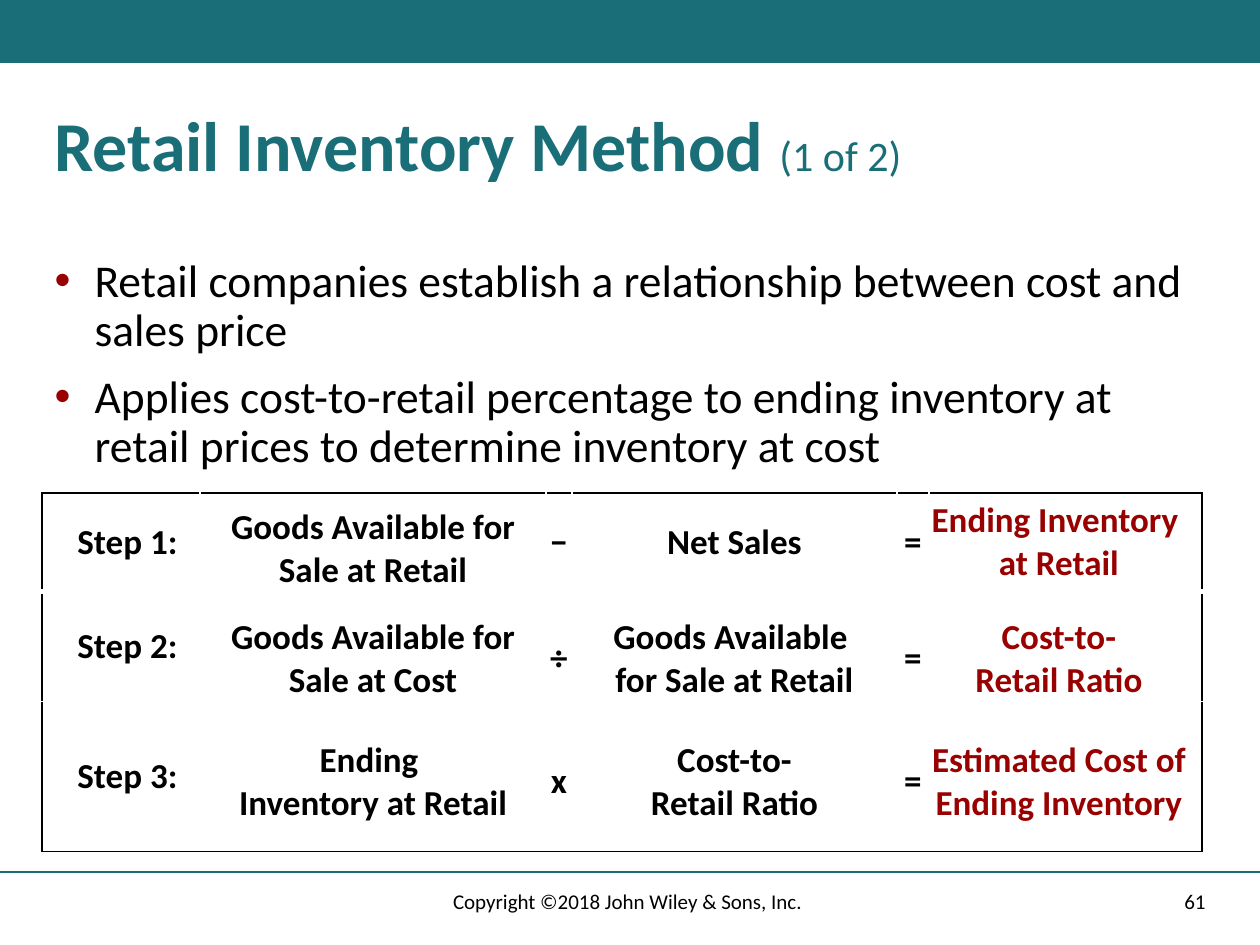
"""Build the Retail Inventory Method slide."""
from lxml import etree
from pptx import Presentation
from pptx.dml.color import RGBColor
from pptx.enum.shapes import MSO_CONNECTOR, MSO_SHAPE
from pptx.enum.text import MSO_ANCHOR, MSO_AUTO_SIZE, PP_ALIGN
from pptx.oxml.ns import qn
from pptx.util import Pt

LEFT, CENTER, RIGHT = PP_ALIGN.LEFT, PP_ALIGN.CENTER, PP_ALIGN.RIGHT
TOP, MIDDLE = MSO_ANCHOR.TOP, MSO_ANCHOR.MIDDLE
NO_FIT = MSO_AUTO_SIZE.NONE
RECT, STRAIGHT = MSO_SHAPE.RECTANGLE, MSO_CONNECTOR.STRAIGHT

TEAL, RED, BLACK, WHITE = "196E78", "990000", "000000", "FFFFFF"
FONT = "Calibri"
PX = 914400 // 126

TITLE = [("Retail Inventory Method ", 40, True), ("(1 of 2)", 24, False)]
BULLETS = [
    "Retail companies establish a relationship between cost and sales price",
    "Applies cost-to-retail percentage to ending inventory at retail prices to determine inventory at cost",
]
STEPS = [
    ["Step 1:", "Goods Available for Sale at Retail", "−", "Net Sales", "=",
     "Ending Inventory \nat Retail"],
    ["Step 2:", "Goods Available for Sale at Cost", "÷",
     "Goods Available \nfor Sale at Retail", "=", "Cost-to-\nRetail Ratio"],
    ["Step 3:", "Ending \nInventory at Retail", "x", "Cost-to-\nRetail Ratio", "=",
     "Estimated Cost of \nEnding Inventory"],
]
COL_WIDTHS = [158, 346, 26, 325, 32, 273]
ROW_HEIGHTS = [96, 107, 150]
FOOTERS = [("61", (890, 876, 328, 50), RIGHT),
           ("Copyright ©2018 John Wiley & Sons, Inc. ", (417, 876, 426, 50), CENTER)]


def rgb(color):
    return RGBColor.from_string(color)


def px(*values):
    return [v * PX for v in values]


def place(s, *box):
    s.left, s.top, s.width, s.height = px(*box)


def add_run(p, text, size=20, color=BLACK, bold=False):
    r = p.add_run()
    r.text = text
    r.font.name, r.font.size, r.font.bold = FONT, Pt(size), bold
    r.font.color.rgb = rgb(color)


def write(tf, text, align=CENTER, **style):
    for i, line in enumerate(text.split("\n")):
        p = tf.add_paragraph() if i else tf.paragraphs[0]
        p.alignment = align
        add_run(p, line, **style)


def set_bullet(p, indent):
    pPr = p._p.get_or_add_pPr()
    pPr.set("marL", str(indent * PX))
    pPr.set("indent", str(-indent * PX))
    color = etree.SubElement(pPr, qn("a:buClr"))
    etree.SubElement(color, qn("a:srgbClr"), val=RED)
    etree.SubElement(pPr, qn("a:buFont"), typeface="Arial")
    etree.SubElement(pPr, qn("a:buChar"), char="•")


def set_border(cell, side, color, width):
    ln = etree.SubElement(cell._tc.get_or_add_tcPr(), qn("a:ln" + side), w=str(Pt(width)))
    fill = etree.SubElement(ln, qn("a:solidFill"))
    etree.SubElement(fill, qn("a:srgbClr"), val=color)


def add_frame(slide):
    bar = slide.shapes.add_shape(RECT, *px(0, 0, 1260, 63))
    bar.shadow.inherit = False
    bar.fill.solid()
    bar.fill.fore_color.rgb = rgb(TEAL)
    bar.line.fill.background()
    rule = slide.shapes.add_connector(STRAIGHT, *px(0, 872, 1260, 872))
    rule.line.color.rgb = rgb(TEAL)
    rule.line.width = Pt(1)
    etree.SubElement(rule._element.spPr, qn("a:effectLst"))


def fill_placeholders(slide):
    title, body = slide.placeholders
    place(title, 42, 105, 1176, 136)
    place(body, 42, 252, 1176, 220)
    for s in (title, body):
        s.text_frame.auto_size = NO_FIT
        s.text_frame.vertical_anchor = TOP
    p = title.text_frame.paragraphs[0]
    p.alignment, p.line_spacing = LEFT, 0.9
    for text, size, bold in TITLE:
        add_run(p, text, size, TEAL, bold)
    tf = body.text_frame
    for i, text in enumerate(BULLETS):
        p = tf.add_paragraph() if i else tf.paragraphs[0]
        p.line_spacing, p.space_before = 0.9, Pt(10 if i else 0)
        set_bullet(p, 40)
        add_run(p, text, 26)


def add_steps(slide):
    last_row, last_col = len(ROW_HEIGHTS) - 1, len(COL_WIDTHS) - 1
    box = px(42, 493, sum(COL_WIDTHS), sum(ROW_HEIGHTS))
    table = slide.shapes.add_table(last_row + 1, last_col + 1, *box).table
    table.first_row = table.horz_banding = False
    for column, width in zip(table.columns, COL_WIDTHS):
        column.width = width * PX
    for row, height in zip(table.rows, ROW_HEIGHTS):
        row.height = height * PX
    for i, texts in enumerate(STEPS):
        for j, text in enumerate(texts):
            cell = table.cell(i, j)
            lower = i > 0 and j > 0
            top = 24 if lower else 13 if (i, j) == (0, 1) else 0
            cell.margin_left, cell.margin_top, cell.margin_right, cell.margin_bottom = px(
                0 if j else 13, top, 13 if j == last_col else 0,
                13 if lower and i == last_row else 0)
            cell.vertical_anchor = MIDDLE
            write(cell.text_frame, text, bold=True, color=RED if j == last_col else BLACK)
            edges = {"L": j == 0, "R": j == last_col, "T": i == 0, "B": i == last_row}
            for side, outer in edges.items():
                width = 3 if side == "B" and i == 0 else 1
                set_border(cell, side, BLACK if outer else WHITE, width)
            cell.fill.solid()
            cell.fill.fore_color.rgb = rgb(WHITE)


def add_footers(slide):
    for text, box, align in FOOTERS:
        tf = slide.shapes.add_textbox(*px(*box)).text_frame
        tf.word_wrap = True
        tf.vertical_anchor = MIDDLE
        write(tf, text, align, size=12)


def main():
    prs = Presentation()
    prs.slide_width, prs.slide_height = px(1260, 945)
    slide = prs.slides.add_slide(prs.slide_layouts[1])
    add_frame(slide)
    fill_placeholders(slide)
    add_steps(slide)
    add_footers(slide)
    prs.save("out.pptx")


if __name__ == "__main__":
    main()
